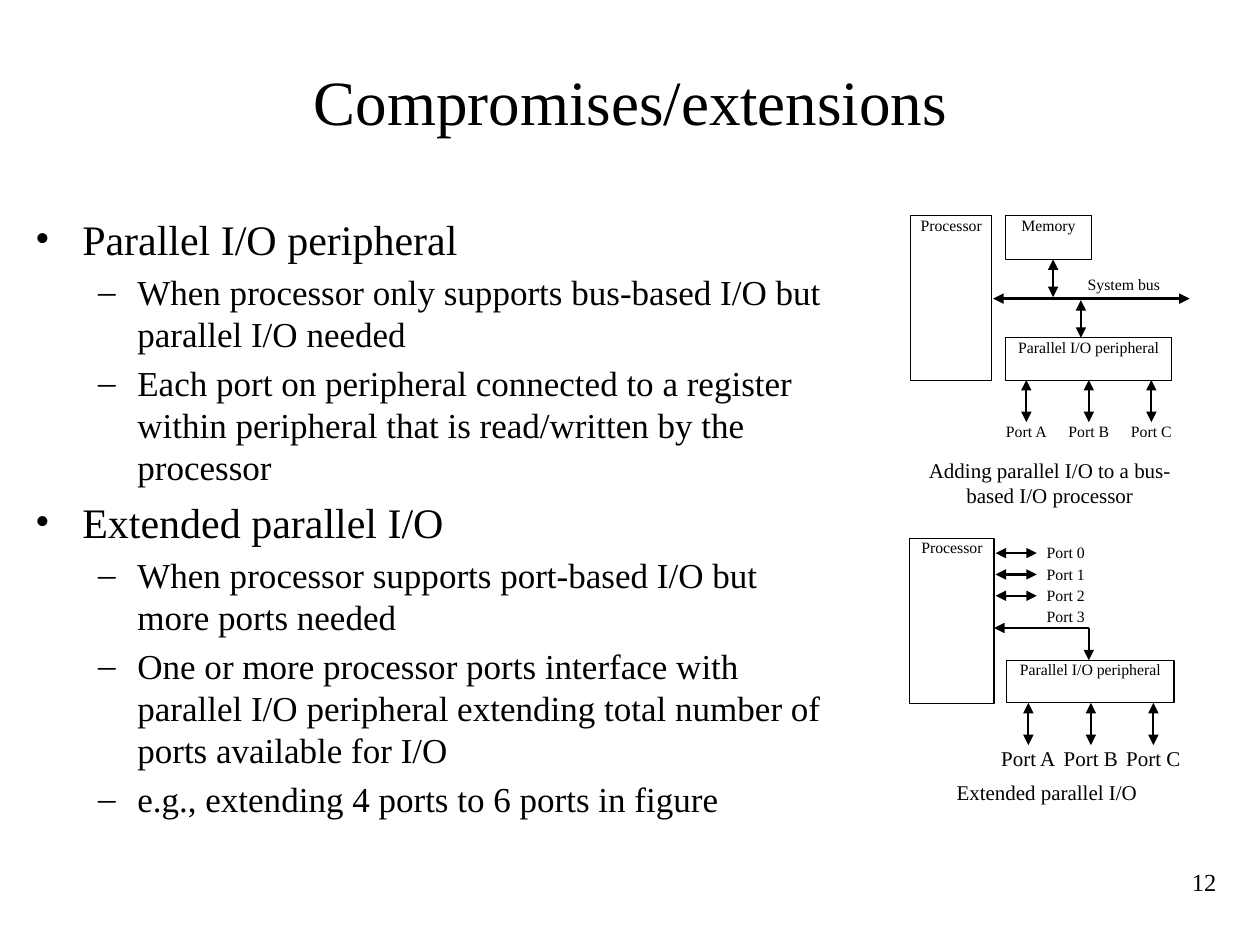
from lxml.etree import SubElement
from pptx import Presentation
from pptx.dml.color import RGBColor
from pptx.enum.shapes import MSO_CONNECTOR, MSO_SHAPE
from pptx.enum.text import MSO_ANCHOR, PP_ALIGN
from pptx.oxml.ns import qn
from pptx.util import Cm, Pt

COLORS = {"ink": "000000", "paper": "FFFFFF"}
FONT = "Times New Roman"
LABEL_HEIGHT = 0.43

# Outline level: bullet, text size, left margin and hanging indent in cm
LEVELS = [("•", 24, 0.95, 0.95), ("–", 20, 2.06, 0.79)]
OUTLINE = [
    (0, "Parallel I/O peripheral"),
    (1, "When processor only supports bus-based I/O but parallel I/O needed"),
    (1, "Each port on peripheral connected to a register within peripheral "
        "that is read/written by the processor"),
    (0, "Extended parallel I/O"),
    (1, "When processor supports port-based I/O but more ports needed"),
    (1, "One or more processor ports interface with parallel I/O peripheral "
        "extending total number of ports available for I/O"),
    (1, "e.g., extending 4 ports to 6 ports in figure"),
]


def color(name):
    return RGBColor.from_string(COLORS[name])


def style(paragraph, size, align):
    paragraph.alignment = align
    paragraph.font.name = FONT
    paragraph.font.size = Pt(size)
    paragraph.font.color.rgb = color("ink")


def set_frame(frame, inset_x=0, inset_y=0, anchor=MSO_ANCHOR.TOP):
    frame.word_wrap = True
    frame.vertical_anchor = anchor
    frame.margin_left = frame.margin_right = Cm(inset_x)
    frame.margin_top = frame.margin_bottom = Cm(inset_y)


def add_text(slide, text, box, size, align=PP_ALIGN.CENTER, **frame_options):
    frame = slide.shapes.add_textbox(*map(Cm, box)).text_frame
    set_frame(frame, **frame_options)
    frame.text = text
    style(frame.paragraphs[0], size, align)


def add_block(slide, text, box):
    block = slide.shapes.add_shape(MSO_SHAPE.RECTANGLE, *map(Cm, box))
    block.shadow.inherit = False
    block.fill.solid()
    block.fill.fore_color.rgb = color("paper")
    block.line.color.rgb = color("ink")
    block.line.width = Pt(0.75)
    set_frame(block.text_frame)
    block.text_frame.text = text
    style(block.text_frame.paragraphs[0], 9, PP_ALIGN.CENTER)


def add_arrow(slide, start, end, width=1.25, both_ends=True):
    arrow = slide.shapes.add_connector(
        MSO_CONNECTOR.STRAIGHT, *map(Cm, (*start, *end)))
    arrow.line.color.rgb = color("ink")
    arrow.line.width = Pt(width)
    line = arrow.line._get_or_add_ln()
    for tag in ("a:headEnd", "a:tailEnd") if both_ends else ("a:tailEnd",):
        SubElement(line, qn(tag), type="triangle")
    SubElement(arrow._element.spPr, qn("a:effectLst"))


def add_outline(slide):
    frame = slide.shapes.add_textbox(
        Cm(0.46), Cm(4.17), Cm(16.41), Cm(12.5)).text_frame
    set_frame(frame, inset_x=0.25, inset_y=0.13)
    for index, (level, text) in enumerate(OUTLINE):
        bullet, size, margin, hanging = LEVELS[level]
        item = frame.add_paragraph() if index else frame.paragraphs[0]
        item.text = text
        item.level = level
        item.space_before = Pt(0.2 * size)
        properties = item._p.get_or_add_pPr()
        properties.set("marL", str(Cm(margin)))
        properties.set("indent", str(-Cm(hanging)))
        SubElement(properties, qn("a:buFont"), typeface=FONT)
        SubElement(properties, qn("a:buChar"), char=bullet)
        style(item, size, PP_ALIGN.LEFT)


def add_lettered_ports(slide, first_x, top, label_width, size):
    """Ports A to C below a peripheral, each with its two-way arrow."""
    bottom = top + 0.85
    for index, letter in enumerate("ABC"):
        x = first_x + 1.26 * index
        add_arrow(slide, (x, top), (x, bottom))
        add_text(slide, f"Port {letter}",
                 (x - label_width / 2, bottom, label_width, LABEL_HEIGHT), size)


def add_bus_diagram(slide):
    add_block(slide, "Processor", (18.36, 4.34, 1.63, 3.33))
    add_block(slide, "Memory", (20.27, 4.34, 1.73, 0.89))
    add_block(slide, "Parallel I/O peripheral", (20.27, 6.81, 3.35, 0.86))
    # System bus with its links to memory and peripheral
    add_arrow(slide, (20.02, 6.02), (23.98, 6.02), width=1.5)
    add_text(slide, "System bus", (21.51, 5.54, 2.29, LABEL_HEIGHT), 9)
    add_arrow(slide, (21.23, 5.23), (21.23, 5.99))
    add_arrow(slide, (21.79, 6.05), (21.79, 6.81))
    add_lettered_ports(slide, 20.69, 7.66, 0.99, 9)
    add_text(slide, "Adding parallel I/O to a bus-based I/O processor",
             (18.36, 9.22, 5.61, 1.24), 12)


def add_extended_diagram(slide):
    add_block(slide, "Processor", (18.34, 10.85, 1.7, 3.33))
    add_block(slide, "Parallel I/O peripheral", (20.29, 13.31, 3.38, 0.86))
    # Processor ports: the last one feeds the peripheral
    for port in range(4):
        add_text(slide, f"Port {port}",
                 (20.7, 10.95 + 0.43 * port, 1.57, LABEL_HEIGHT), 9)
    for port in range(3):
        y = 11.15 + 0.43 * port
        add_arrow(slide, (20.9, y), (20.07, y))
    corner = (21.95, 12.66)
    add_arrow(slide, corner, (20.04, 12.66), both_ends=False)
    add_arrow(slide, corner, (21.95, 13.31), both_ends=False)
    add_lettered_ports(slide, 20.73, 14.17, 1.57, 12)
    add_text(slide, "Extended parallel I/O", (18.36, 15.72, 5.49, 0.94), 12)


def main():
    deck = Presentation()
    deck.slide_width, deck.slide_height = Cm(25.4), Cm(19.05)
    slide = deck.slides.add_slide(deck.slide_layouts[6])

    # Page number, title and outline
    add_text(slide, "12", (22.23, 17.35, 2.54, 1.27), 14, PP_ALIGN.RIGHT,
             inset_x=0.25, inset_y=0.13)
    add_text(slide, "Compromises/extensions", (1.07, 0.43, 23.29, 3.18), 36,
             inset_y=0.13, anchor=MSO_ANCHOR.MIDDLE)
    add_outline(slide)

    # Diagrams on the right
    add_bus_diagram(slide)
    add_extended_diagram(slide)

    deck.save("out.pptx")


if __name__ == "__main__":
    main()
